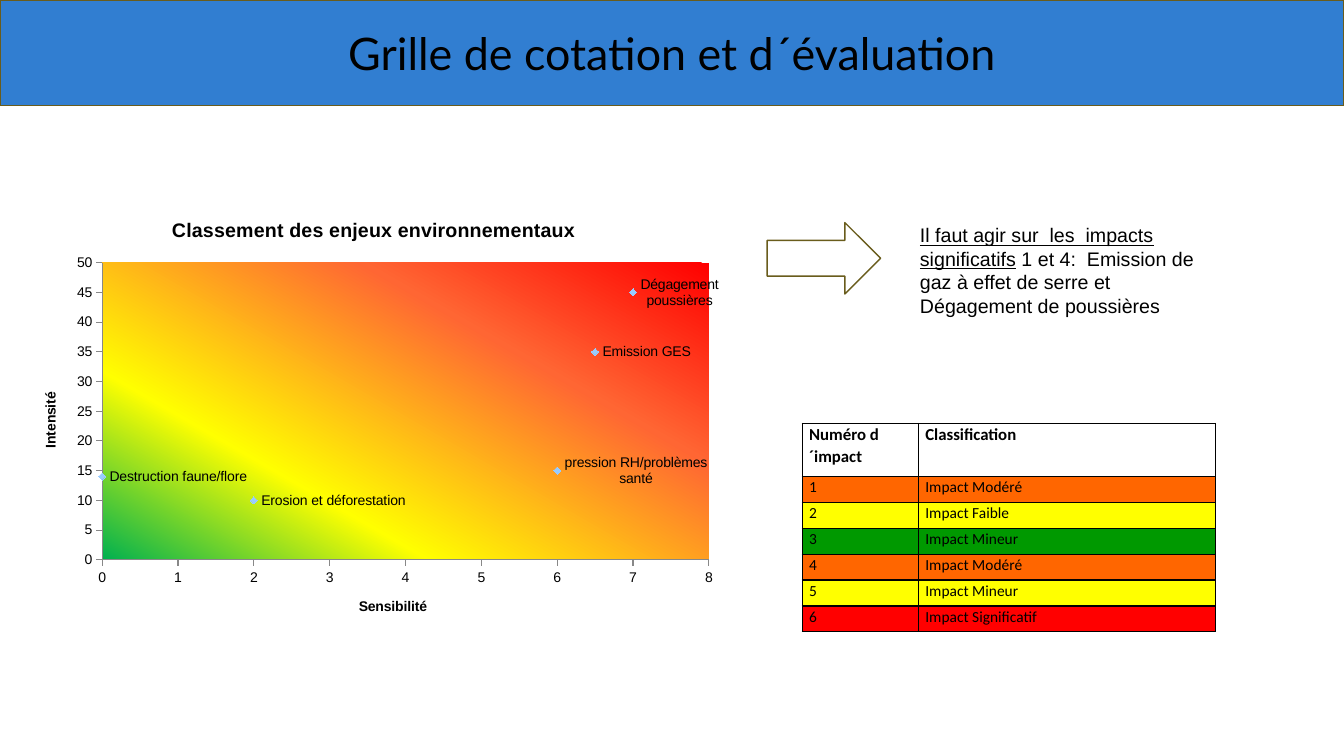
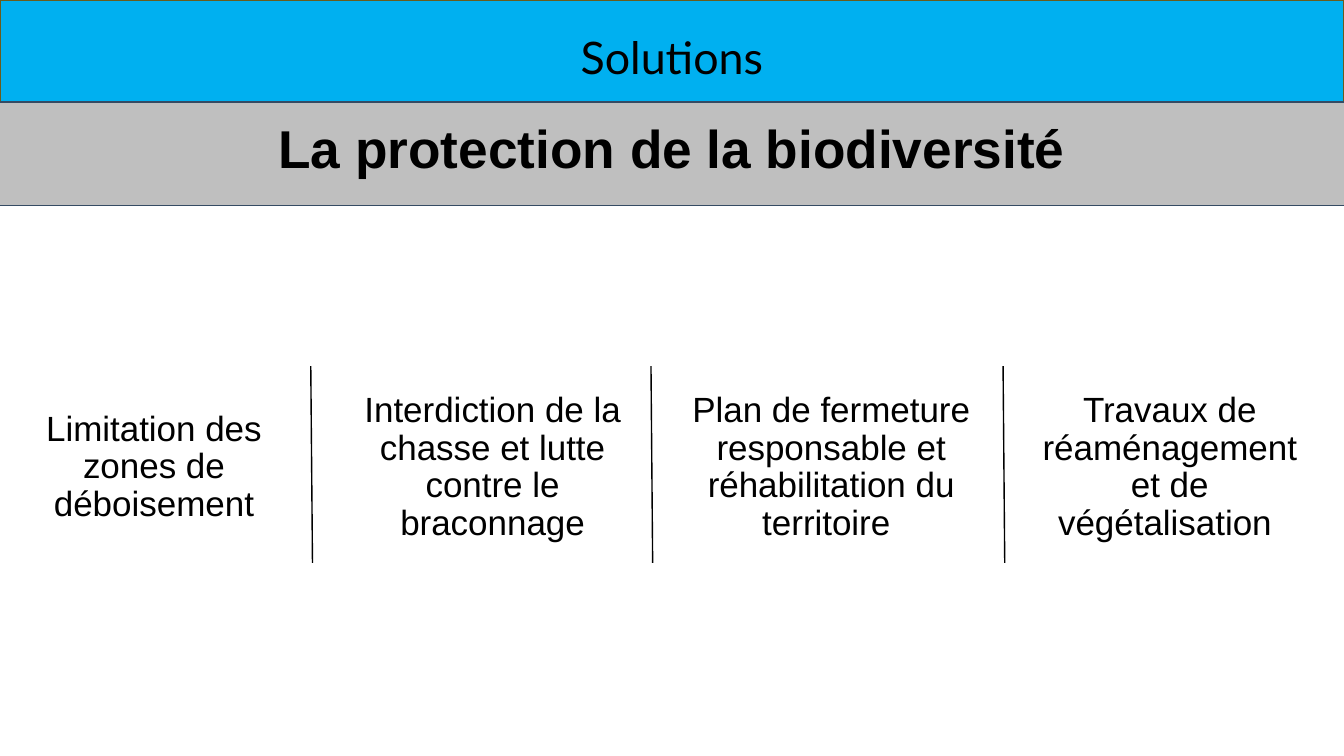
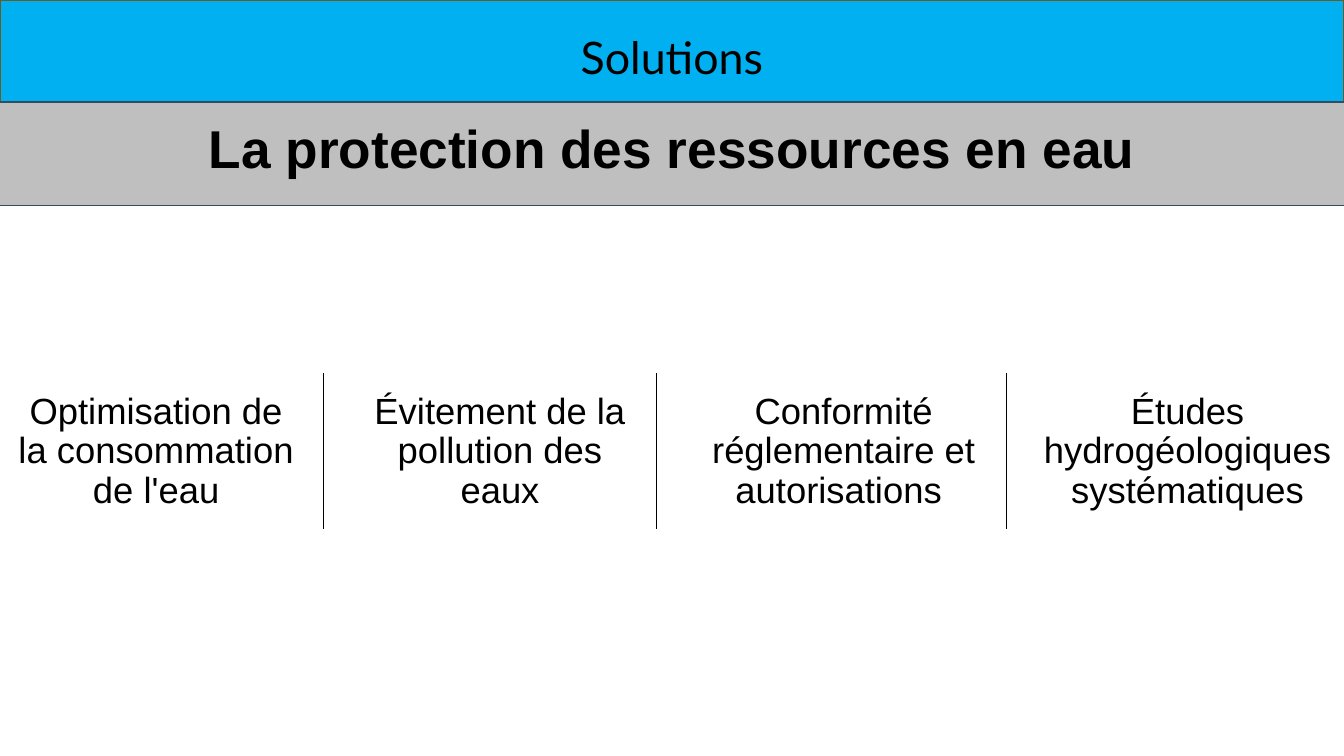
from dataclasses import dataclass

from lxml.etree import SubElement
from pptx import Presentation
from pptx.chart.data import XyChartData
from pptx.dml.color import RGBColor
from pptx.enum.chart import XL_CHART_TYPE, XL_LABEL_POSITION, XL_MARKER_STYLE, XL_TICK_MARK
from pptx.enum.shapes import MSO_CONNECTOR, MSO_SHAPE
from pptx.enum.text import MSO_ANCHOR, PP_ALIGN
from pptx.oxml import parse_xml
from pptx.oxml.ns import nsdecls, qn
from pptx.util import Pt


@dataclass(frozen=True)
class Theme:
    width: int = 960
    height: int = 540
    black: str = "000000"
    white: str = "FFFFFF"
    blue: str = "317ED1"
    cyan: str = "00B0F0"
    gray: str = "BFBFBF"
    olive: str = "695C1C"
    slate: str = "354B63"
    axis: str = "888888"
    marker: str = "99CCFF"
    orange: str = "FF6600"
    yellow: str = "FFFF00"
    green: str = "009900"
    red: str = "FF0000"
    heat: tuple = ((0, "FF0000"), (31, "FF6633"), (71, "FFFF00"), (100, "00B050"))
    title_font: str = "Lato"
    body_font: str = "Arial"
    table_font: str = "Calibri"
    title_size: int = 32
    subtitle_size: int = 38
    body_size: int = 14
    header_size: int = 12
    cell_size: int = 11
    chart_size: int = 10


T = Theme()


def pts(*values):
    return [Pt(v) for v in values]


def style(font, size, name=T.body_font, bold=False):
    font.size, font.name, font.bold = Pt(size), name, bold
    font.color.rgb = RGBColor.from_string(T.black)


def fill_with(fill, color):
    fill.solid()
    fill.fore_color.rgb = RGBColor.from_string(color)


def set_insets(tf, inset):
    tf.margin_left = tf.margin_right = tf.margin_top = tf.margin_bottom = Pt(inset)


def add_block(s, box, fill, line=None, shape=MSO_SHAPE.RECTANGLE):
    sp = s.shapes.add_shape(shape, *pts(*box))
    sp.shadow.inherit = False
    fill_with(sp.fill, fill)
    if line:
        sp.line.color.rgb = RGBColor.from_string(line)
        sp.line.width = Pt(1)
    else:
        sp.line.fill.background()
    return sp


def add_text_block(s, box, text, fill, size, line=None, font=T.body_font,
                   bold=False, anchor=MSO_ANCHOR.MIDDLE, inset=7, spacing=1.0):
    tf = add_block(s, box, fill, line).text_frame
    tf.word_wrap = True
    tf.vertical_anchor = anchor
    set_insets(tf, inset)
    p = tf.paragraphs[0]
    p.text = text
    p.alignment = PP_ALIGN.CENTER
    p.line_spacing = spacing
    style(p.font, size, font, bold)


def add_title(s, text, fill, height):
    add_text_block(s, (0, 0, T.width, height), text, fill, T.title_size,
                   T.olive, T.title_font)


def add_divider(s, start, end, width):
    line = s.shapes.add_connector(MSO_CONNECTOR.STRAIGHT, *pts(*start, *end))
    line.line.color.rgb = RGBColor.from_string(T.black)
    line.line.width = Pt(width)
    SubElement(line._element.spPr, qn("a:effectLst"))


def format_axis(axis, title, maximum, step):
    axis.has_major_gridlines = False
    axis.minimum_scale, axis.maximum_scale, axis.major_unit = 0, maximum, step
    axis.major_tick_mark = XL_TICK_MARK.OUTSIDE
    axis.minor_tick_mark = XL_TICK_MARK.NONE
    axis.format.line.color.rgb = RGBColor.from_string(T.axis)
    axis.tick_labels.number_format = "General"
    axis.tick_labels.number_format_is_linked = False
    style(axis.tick_labels.font, T.chart_size)
    axis.axis_title.text_frame.text = title
    style(axis.axis_title.text_frame.paragraphs[0].font, T.chart_size, bold=True)


def format_plot_area(chart, x, y, w, h):
    """Fix the inner plot box (fractions of the chart) and give it the heat gradient."""
    area = chart._chartSpace.chart.plotArea
    for old in area.findall(qn("c:layout")):
        area.remove(old)
    sizes = "".join(f'<c:{tag} val="{v}"/>' for tag, v in zip("xywh", (x, y, w, h)))
    area.insert(0, parse_xml(
        f'<c:layout {nsdecls("c")}><c:manualLayout><c:layoutTarget val="inner"/>'
        f'<c:xMode val="edge"/><c:yMode val="edge"/>{sizes}</c:manualLayout></c:layout>'))
    stops = "".join(f'<a:gs pos="{pos * 1000}"><a:srgbClr val="{color}"/></a:gs>'
                    for pos, color in T.heat)
    area.append(parse_xml(
        f'<c:spPr {nsdecls("c", "a")}><a:gradFill><a:gsLst>{stops}</a:gsLst>'
        '<a:lin ang="7200000" scaled="0"/></a:gradFill></c:spPr>'))


def add_issue_chart(s, box, points):
    data = XyChartData()
    series = data.add_series("Series 1")
    for x, y, _ in points:
        series.add_data_point(x, y)
    chart = s.shapes.add_chart(XL_CHART_TYPE.XY_SCATTER, *pts(*box), data).chart
    style(chart.font, T.chart_size)
    chart.has_legend = False
    chart.plots[0].vary_by_categories = False
    chart.chart_title.text_frame.text = "Classement des enjeux environnementaux"
    style(chart.chart_title.text_frame.paragraphs[0].font, T.body_size, bold=True)
    format_axis(chart.category_axis, "Sensibilité ", 8, 1)
    format_axis(chart.value_axis, "Intensité", 50, 5)
    format_plot_area(chart, 0.115, 0.145, 0.86, 0.68)

    plotted = chart.plots[0].series[0]
    plotted.smooth = False
    plotted.format.line.fill.background()
    plotted.marker.style = XL_MARKER_STYLE.DIAMOND
    plotted.marker.size = 5
    fill_with(plotted.marker.format.fill, T.marker)
    plotted.marker.format.line.fill.background()
    for i, (_, _, text) in enumerate(points):
        if text:
            label = plotted.points[i].data_label
            label.text_frame.text = text
            style(label.text_frame.paragraphs[0].font, T.chart_size)
            label.position = XL_LABEL_POSITION.RIGHT


def add_cell_borders(cell):
    tcPr = cell._tc.get_or_add_tcPr()
    for i, side in enumerate(("lnL", "lnR", "lnT", "lnB")):
        tcPr.insert(i, parse_xml(
            f'<a:{side} {nsdecls("a")} w="12700"><a:solidFill>'
            f'<a:srgbClr val="{T.black}"/></a:solidFill></a:{side}>'))


def add_impact_table(s, box, header, impacts):
    rows = [(*header, None)] + [(str(i), *impact) for i, impact in enumerate(impacts, 1)]
    table = s.shapes.add_table(len(rows), 2, *pts(*box)).table
    header_height, number_width = 38, 83
    table.columns[0].width, table.columns[1].width = pts(number_width, box[2] - number_width)
    for i, (number, label, color) in enumerate(rows):
        is_header = i == 0
        table.rows[i].height = Pt(
            header_height if is_header else (box[3] - header_height) / len(impacts))
        for cell, text in zip(table.rows[i].cells, (number, label)):
            cell.margin_left = cell.margin_right = Pt(5)
            cell.margin_top = cell.margin_bottom = 0
            if color:
                fill_with(cell.fill, color)
            else:
                cell.fill.background()
            p = cell.text_frame.paragraphs[0]
            p.text = text
            p.line_spacing = 1.07
            style(p.font, T.header_size if is_header else T.cell_size, T.table_font, is_header)
            add_cell_borders(cell)


def add_advice(s, box):
    """Arrow at the left of the box, advice text at its right."""
    x, y, w, h = box
    add_block(s, (x, y + 3, 81, 51), T.white, T.olive, MSO_SHAPE.RIGHT_ARROW)
    tf = s.shapes.add_textbox(*pts(x + 102, y, w - 102, h)).text_frame
    tf.word_wrap = True
    p = tf.paragraphs[0]
    style(p.font, T.body_size)
    r = p.add_run()
    r.text = "Il faut agir sur  les  impacts significatifs"
    r.font.underline = True
    r = p.add_run()
    r.text = " 1 et 4:  Emission de gaz à effet de serre et Dégagement de poussières"


def add_rating_slide(s):
    add_title(s, "Grille de cotation et d´évaluation", T.blue, 75.6)
    add_advice(s, (548, 156, 319, 75))
    add_impact_table(s, (573, 302.4, 295, 149), ("Numéro d´impact", "Classification"), [
        ("Impact Modéré", T.orange),
        ("Impact Faible", T.yellow),
        ("Impact Mineur", T.green),
        ("Impact Modéré", T.orange),
        ("Impact Mineur", T.yellow),
        ("Impact Significatif", T.red),
    ])
    add_issue_chart(s, (15, 142.5, 504, 312), [
        (6.5, 35, "Emission GES"),
        (6, 15, ""),
        (2, 10, "Erosion et déforestation"),
        (7, 45, "Dégagement poussières"),
        (0, 14, "Destruction faune/flore"),
        (6, 15, "pression RH/problèmes santé"),
    ])


def add_columns(s, box, texts, size, inset):
    """Equal text columns; each gap is a tenth of a column."""
    x, y, w, h = box
    column = w / (len(texts) + 0.1 * (len(texts) - 1))
    for i, text in enumerate(texts):
        add_text_block(s, (x + i * 1.1 * column, y, column, h), text, T.white,
                       size, inset=inset, spacing=0.9)


def add_solution_slide(s, subtitle, texts, box, size, inset, dividers, span, slant, weight):
    add_title(s, "Solutions", T.cyan, 81)
    add_text_block(s, (-19, 72.8, T.width + 38, 74), subtitle, T.gray, T.subtitle_size,
                   T.slate, bold=True, anchor=MSO_ANCHOR.TOP, inset=9.5)
    add_columns(s, box, texts, size, inset)
    top, bottom = span
    for x in dividers:
        add_divider(s, (x, top), (x + slant, bottom), weight)


def main():
    prs = Presentation()
    prs.slide_width, prs.slide_height = pts(T.width, T.height)
    blank = prs.slide_layouts[6]
    add_rating_slide(prs.slides.add_slide(blank))
    add_solution_slide(
        prs.slides.add_slide(blank), "La protection de la biodiversité",
        ["Limitation des zones de déboisement",
         "Interdiction de la chasse et lutte contre le braconnage",
         "Plan de fermeture responsable et réhabilitation du territoire ",
         "Travaux de réaménagement et de végétalisation "],
        box=(0, 268, 945.5, 132), size=25, inset=7.2,
        dividers=(222, 465, 716.5), span=(261.5, 402), slant=1.2, weight=1)
    add_solution_slide(
        prs.slides.add_slide(blank), "La protection des ressources en eau",
        ["Optimisation de la consommation de l'eau",
         "Évitement de la pollution des eaux",
         "Conformité réglementaire et autorisations ",
         "Études hydrogéologiques systématiques"],
        box=(0, 256, 960, 134), size=26, inset=7.8,
        dividers=(231, 469, 718.5), span=(266.5, 378), slant=0, weight=0.5)
    prs.save("out.pptx")


if __name__ == "__main__":
    main()
